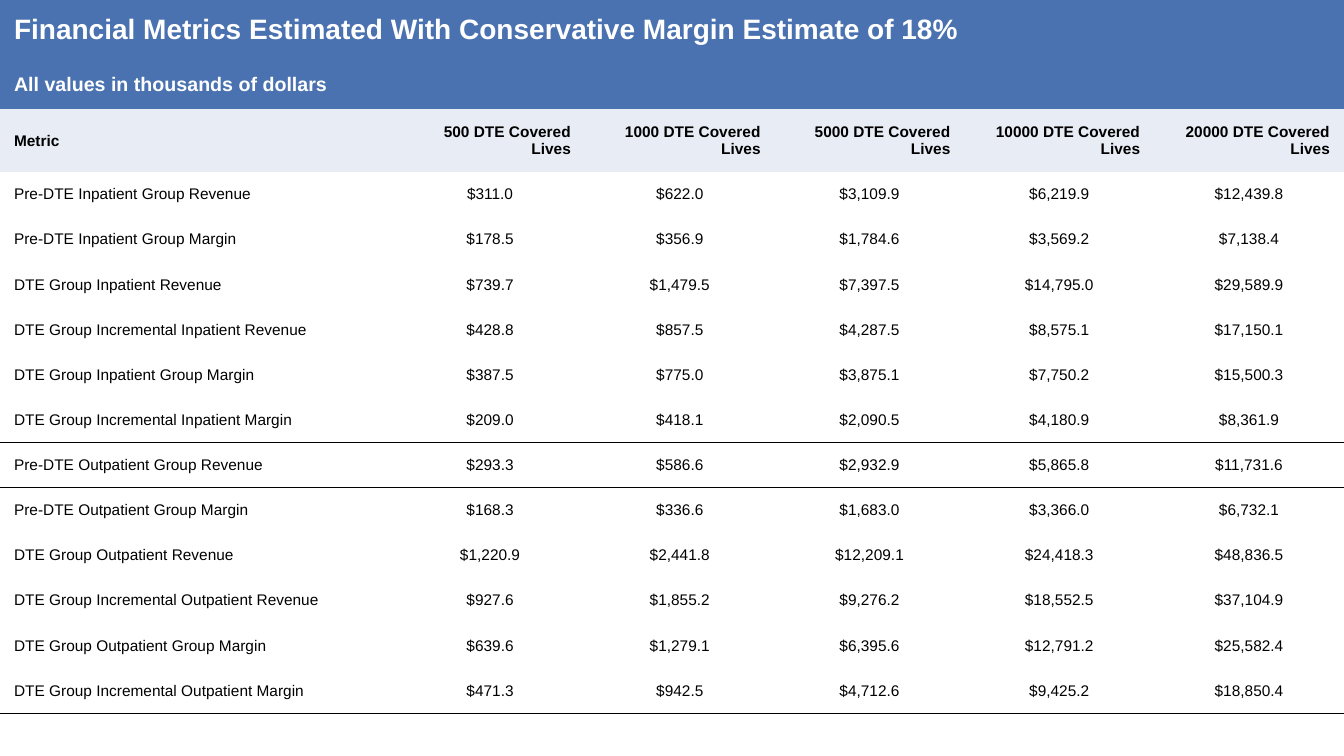
"""Build a slide with a table of financial metrics by number of covered lives."""
from dataclasses import dataclass

from lxml import etree
from pptx import Presentation
from pptx import util as u
from pptx.dml.color import RGBColor
from pptx.enum import text
from pptx.oxml.ns import qn
from pptx.table import Table, _Cell

SLIDE_WIDTH, SLIDE_HEIGHT = 13.33, 7.5
METRIC_WIDTH = 3.92
HEADING_HEIGHTS = [0.59, 0.49, 0.62]
BODY_HEIGHT = 5.37
PADDING = u.Pt(10)
NO_STYLE = "{2D5ABB26-0587-4C30-8999-92F81FD0307C}"
LEFT, CENTER, RIGHT = text.PP_ALIGN.LEFT, text.PP_ALIGN.CENTER, text.PP_ALIGN.RIGHT
BANNERS = [
    "Financial Metrics Estimated With Conservative Margin Estimate of 18%",
    "All values in thousands of dollars",
]
COVERED_LIVES = [500, 1000, 5000, 10000, 20000]
METRICS = [
    ("Pre-DTE Inpatient Group Revenue", 311.0, 622.0, 3109.9, 6219.9, 12439.8),
    ("Pre-DTE Inpatient Group Margin", 178.5, 356.9, 1784.6, 3569.2, 7138.4),
    ("DTE Group Inpatient Revenue", 739.7, 1479.5, 7397.5, 14795.0, 29589.9),
    ("DTE Group Incremental Inpatient Revenue", 428.8, 857.5, 4287.5, 8575.1, 17150.1),
    ("DTE Group Inpatient Group Margin", 387.5, 775.0, 3875.1, 7750.2, 15500.3),
    ("DTE Group Incremental Inpatient Margin", 209.0, 418.1, 2090.5, 4180.9, 8361.9),
    ("Pre-DTE Outpatient Group Revenue", 293.3, 586.6, 2932.9, 5865.8, 11731.6),
    ("Pre-DTE Outpatient Group Margin", 168.3, 336.6, 1683.0, 3366.0, 6732.1),
    ("DTE Group Outpatient Revenue", 1220.9, 2441.8, 12209.1, 24418.3, 48836.5),
    ("DTE Group Incremental Outpatient Revenue", 927.6, 1855.2, 9276.2, 18552.5, 37104.9),
    ("DTE Group Outpatient Group Margin", 639.6, 1279.1, 6395.6, 12791.2, 25582.4),
    ("DTE Group Incremental Outpatient Margin", 471.3, 942.5, 4712.6, 9425.2, 18850.4),
]
RULED_EDGES = {5: "b", 6: "t", 11: "b"}


@dataclass(frozen=True)
class RowStyle:
    """Describe the look shared by the cells of a row."""

    size: float
    bold: bool
    color: str
    fill: str | None
    value_align: text.PP_ALIGN = CENTER


@dataclass(frozen=True)
class TableRow:
    """Hold the wording of a row, its style and its ruled edge."""

    texts: list[str]
    style: RowStyle
    edge: str | None = None


BANNER_STYLES = [RowStyle(size, True, "FFFFFF", "4A72B0") for size in (20, 14)]
HEADER_STYLE = RowStyle(11, True, "000000", "E7ECF5", RIGHT)
BODY_STYLE = RowStyle(11, False, "000000", None)


def rgb(value: str) -> RGBColor:
    """Turn a hex string into a colour."""
    return RGBColor.from_string(value)


def apply_format(target: object, values: dict[str, object]) -> None:
    """Set each named attribute of the target."""
    for name, value in values.items():
        setattr(target, name, value)


def table_rows() -> list[TableRow]:
    """List all rows from the banner down to the last metric."""
    rows = [TableRow([banner], style) for banner, style in zip(BANNERS, BANNER_STYLES)]
    headings = [f"{lives} DTE Covered Lives" for lives in COVERED_LIVES]
    rows.append(TableRow(["Metric", *headings], HEADER_STYLE))
    for index, (metric, *values) in enumerate(METRICS):
        amounts = [f"${value:,.1f}" for value in values]
        rows.append(TableRow([metric, *amounts], BODY_STYLE, RULED_EDGES.get(index)))
    return rows


def rule_edge(cell: _Cell, edge: str) -> None:
    """Draw a thin black border along the top or bottom of a cell."""
    line = etree.Element(qn(f"a:ln{edge.upper()}"), w=str(u.Pt(1)))
    fill = etree.SubElement(line, qn("a:solidFill"))
    etree.SubElement(fill, qn("a:srgbClr"), val="000000")
    cell._tc.get_or_add_tcPr().insert(0, line)


def format_cell(cell: _Cell, style: RowStyle, edge: str | None) -> None:
    """Set the margins, fill and border of a cell."""
    apply_format(cell, {
        "margin_left": 0, "margin_right": 0,
        "margin_top": PADDING, "margin_bottom": PADDING,
        "vertical_anchor": text.MSO_ANCHOR.MIDDLE,
    })
    if style.fill:
        cell.fill.solid()
        cell.fill.fore_color.rgb = rgb(style.fill)
    else:
        cell.fill.background()
    if edge:
        rule_edge(cell, edge)


def write_cell(cell: _Cell, wording: str, style: RowStyle, align: text.PP_ALIGN) -> None:
    """Write one formatted paragraph into a cell."""
    para = cell.text_frame.paragraphs[0]
    para.alignment = align
    for side in ("marL", "marR"):
        para._p.get_or_add_pPr().set(side, str(PADDING))
    span = para.add_run()
    span.text = wording
    apply_format(span.font, {"name": "Arial", "size": u.Pt(style.size), "bold": style.bold})
    span.font.color.rgb = rgb(style.color)


def fill_row(table: Table, index: int, row: TableRow) -> None:
    """Format a whole row and write its wording, merging a single-text row."""
    cells = [table.cell(index, column) for column in range(len(table.columns))]
    for cell in cells:
        format_cell(cell, row.style, row.edge)
    if len(row.texts) == 1:
        cells[0].merge(cells[-1])
    for column, (cell, wording) in enumerate(zip(cells, row.texts)):
        write_cell(cell, wording, row.style, row.style.value_align if column else LEFT)


def main() -> None:
    """Create the deck with its table and save it."""
    deck = Presentation()
    deck.slide_width, deck.slide_height = u.Inches(SLIDE_WIDTH), u.Inches(SLIDE_HEIGHT)
    page = deck.slides.add_slide(deck.slide_layouts[6])
    rows = table_rows()
    value_width = (SLIDE_WIDTH - METRIC_WIDTH) / len(COVERED_LIVES)
    widths = [METRIC_WIDTH] + [value_width] * len(COVERED_LIVES)
    heights = HEADING_HEIGHTS + [BODY_HEIGHT / len(METRICS)] * len(METRICS)
    frame = page.shapes.add_table(
        len(rows), len(widths), 0, 0, u.Inches(SLIDE_WIDTH), u.Inches(sum(heights)))
    table = frame.table
    apply_format(table, {"first_row": False, "horz_banding": False})
    table._tbl.tblPr.find(qn("a:tableStyleId")).text = NO_STYLE
    for column, width in zip(table.columns, widths):
        column.width = u.Inches(width)
    for index, (row, height) in enumerate(zip(rows, heights)):
        table.rows[index].height = u.Inches(height)
        fill_row(table, index, row)
    deck.save("out.pptx")


if __name__ == "__main__":
    main()
